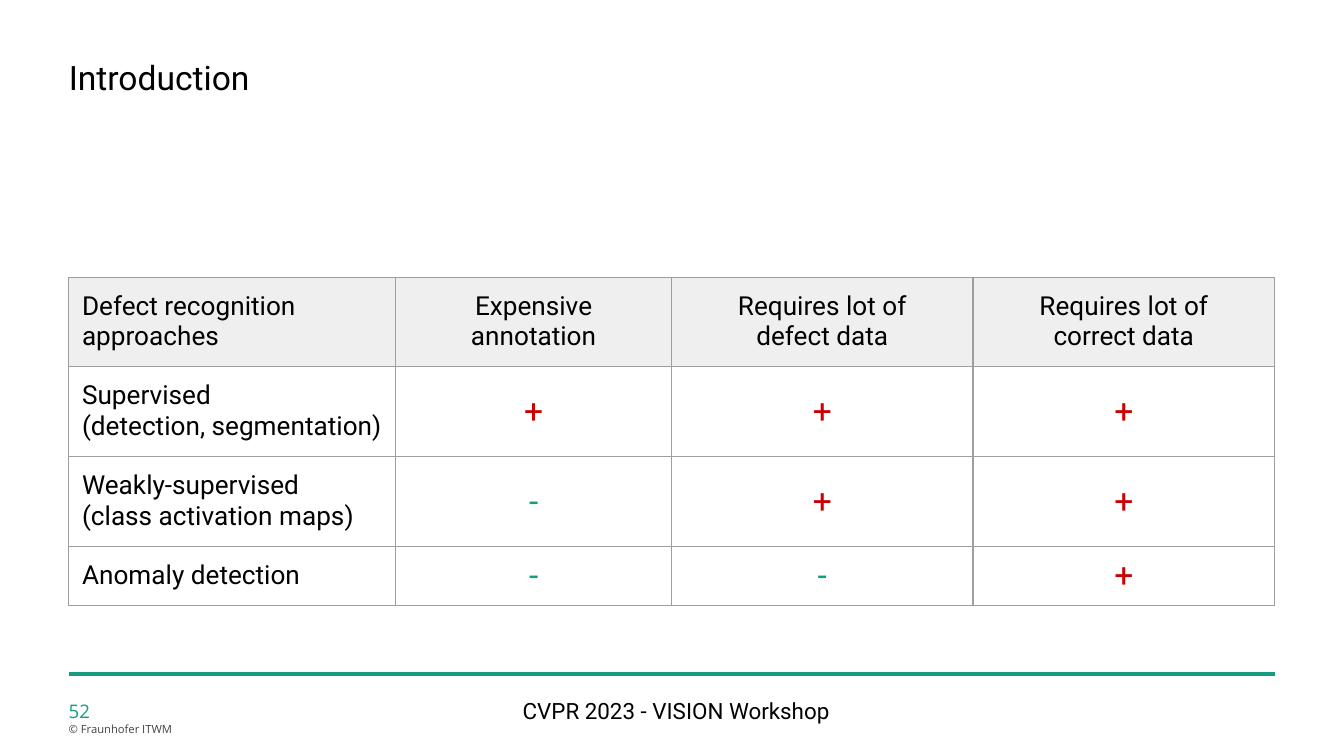
from lxml import etree
from pptx import Presentation
from pptx import util as u
from pptx.dml.color import RGBColor
from pptx.enum import shapes, text
from pptx.oxml import ns

COLORS = {
    "text": "000000",
    "green": "179C7E",
    "rule": "179C7D",
    "red": "CC0000",
    "grey": "434343",
    "border": "9E9E9E",
    "header": "EFEFEF",
}
LEFT, WIDTH = u.Cm(1.3), u.Cm(22.79)


def format_paragraph(paragraph, size, color, font="Roboto", align=text.PP_ALIGN.LEFT):
    paragraph.alignment = align
    paragraph.space_before = u.Pt(0)
    for run in paragraph.runs:
        run.font.name = font
        run.font.size = u.Pt(size)
        run.font.color.rgb = RGBColor.from_string(COLORS[color])


def prepare_frame(shape, left, top, width, height):
    shape.left, shape.top, shape.width, shape.height = left, top, width, height
    frame = shape.text_frame
    frame.margin_left = frame.margin_right = frame.margin_top = frame.margin_bottom = 0
    frame.word_wrap = True
    frame.auto_size = text.MSO_AUTO_SIZE.NONE
    frame.vertical_anchor = text.MSO_ANCHOR.TOP
    return frame


presentation = Presentation()
presentation.slide_width, presentation.slide_height = u.Cm(25.4), u.Cm(14.28)
slide = presentation.slides.add_slide(presentation.slide_layouts[0])

# Title and workshop name
title_frame = prepare_frame(slide.shapes.title, LEFT, u.Cm(1.07), WIDTH, u.Cm(0.76))
title_frame.text = "Introduction"
format_paragraph(title_frame.paragraphs[0], 18, "text")

workshop_frame = prepare_frame(
    slide.placeholders[1], u.Cm(4.5), u.Cm(13.16), u.Cm(16.56), u.Cm(0.5))
workshop_frame.text = "CVPR 2023 - VISION Workshop"
format_paragraph(workshop_frame.paragraphs[0], 12, "text", align=text.PP_ALIGN.CENTER)

# Footer rule
rule = slide.shapes.add_connector(
    shapes.MSO_CONNECTOR.STRAIGHT, LEFT, u.Cm(12.73), LEFT + WIDTH, u.Cm(12.73))
rule.line.color.rgb = RGBColor.from_string(COLORS["rule"])
rule.line.width = u.Pt(2.5)
etree.SubElement(rule._element.spPr, ns.qn("a:effectLst"))

# Page number and copyright
footer = slide.shapes.add_textbox(LEFT, u.Cm(13.16), u.Cm(5), u.Cm(0.74))
footer_frame = prepare_frame(footer, LEFT, u.Cm(13.16), u.Cm(5), u.Cm(0.74))
footer_frame.text = "52\n© Fraunhofer ITWM"
number, copyright_line = footer_frame.paragraphs
number.line_spacing = 1.15
format_paragraph(number, 10, "green", "Open Sans")
format_paragraph(copyright_line, 6, "grey", "Open Sans")

# Comparison table
ROWS = [
    ["Defect recognition approaches", "Expensive\nannotation",
     "Requires lot of\ndefect data", "Requires lot of\ncorrect data"],
    ["Supervised\n(detection, segmentation)", "+", "+", "+"],
    ["Weakly-supervised\n(class activation maps)", "-", "+", "+"],
    ["Anomaly detection", "-", "-", "+"],
]
COLUMN_WIDTHS = [6.18, 5.21, 5.7, 5.7]
ROW_HEIGHTS = [1.69, 1.7, 1.7, 1.1]
SIGN_COLORS = {"+": "red", "-": "green"}

table = slide.shapes.add_table(
    len(ROWS), len(COLUMN_WIDTHS), LEFT, u.Cm(5.24), WIDTH, u.Cm(sum(ROW_HEIGHTS))).table
table.first_row = table.horz_banding = False
for column, width in zip(table.columns, COLUMN_WIDTHS):
    column.width = u.Cm(width)
for row, height in zip(table.rows, ROW_HEIGHTS):
    row.height = u.Cm(height)

for row_index, labels in enumerate(ROWS):
    for column_index, label in enumerate(labels):
        cell = table.cell(row_index, column_index)
        is_sign = label in SIGN_COLORS
        margin = u.Cm(0.05 if is_sign else 0.25)
        cell.margin_left = cell.margin_right = margin
        cell.margin_top = cell.margin_bottom = margin
        cell.vertical_anchor = text.MSO_ANCHOR.MIDDLE if is_sign else text.MSO_ANCHOR.TOP

        paragraph = cell.text_frame.paragraphs[0]
        paragraph.text = label
        format_paragraph(
            paragraph, 18 if is_sign else 14, SIGN_COLORS.get(label, "text"),
            align=text.PP_ALIGN.CENTER if column_index else text.PP_ALIGN.LEFT)

        if row_index == 0:
            cell.fill.solid()
            cell.fill.fore_color.rgb = RGBColor.from_string(COLORS["header"])
        else:
            cell.fill.background()

        # Borders come before the fill in the cell properties
        properties = cell._tc.get_or_add_tcPr()
        for position, side in enumerate(["lnL", "lnR", "lnT", "lnB"]):
            border = etree.Element(ns.qn(f"a:{side}"), w=str(u.Pt(0.75)))
            fill = etree.SubElement(border, ns.qn("a:solidFill"))
            etree.SubElement(fill, ns.qn("a:srgbClr"), val=COLORS["border"])
            properties.insert(position, border)

presentation.save("out.pptx")
